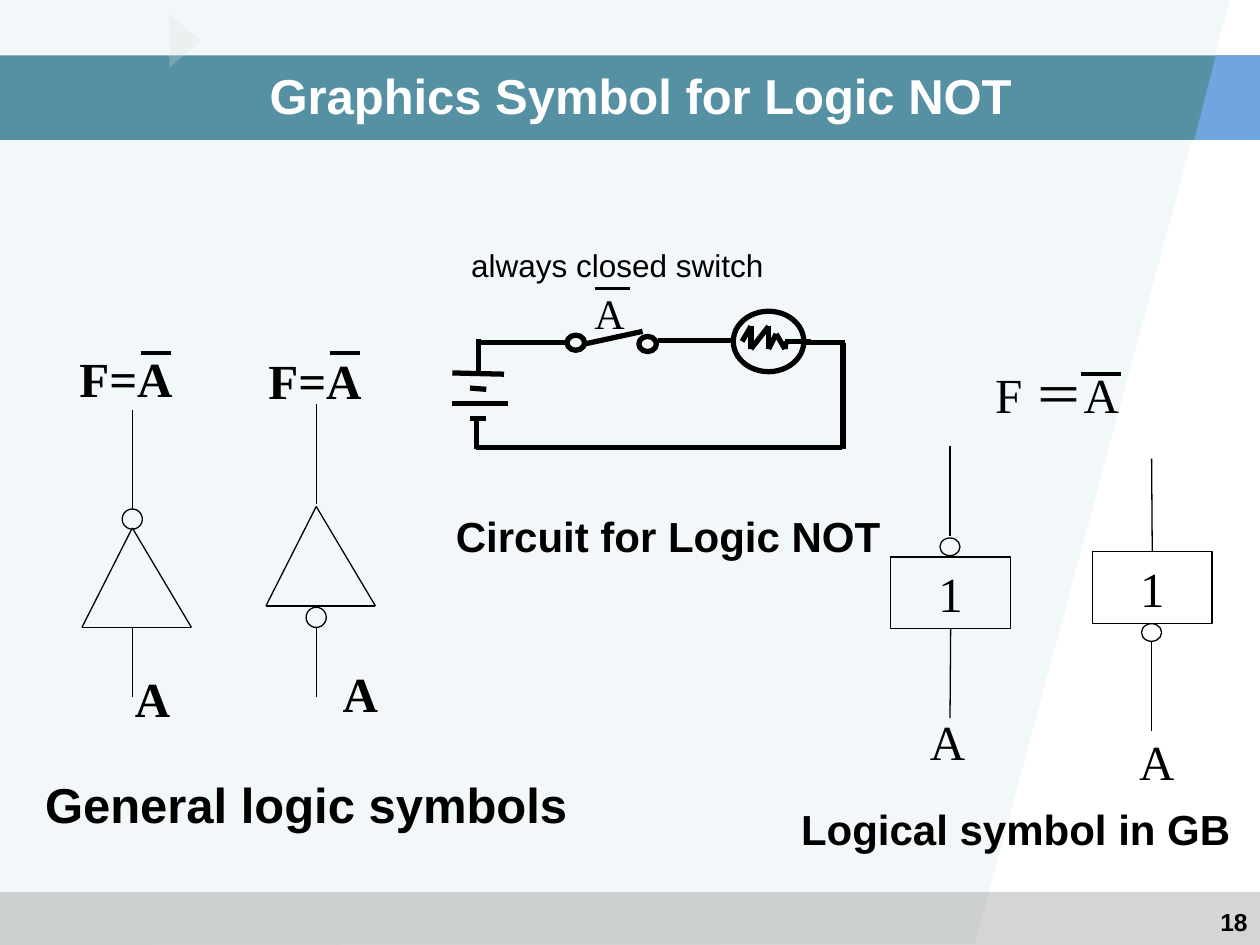
from dataclasses import dataclass
from itertools import pairwise

from lxml.etree import SubElement
from pptx import Presentation
from pptx.dml.color import RGBColor
from pptx.enum.shapes import MSO_CONNECTOR, MSO_SHAPE
from pptx.enum.text import MSO_ANCHOR, PP_ALIGN
from pptx.oxml.ns import qn
from pptx.util import Inches, Pt

COLUMNS, ROWS = 100, 75
BLACK, WHITE = "000000", "FFFFFF"
SANS, SERIF = "Arial", "Times New Roman"
THIN, BAR, WIRE = 0.75, 2.25, 3
LEFT, CENTER, RIGHT = PP_ALIGN.LEFT, PP_ALIGN.CENTER, PP_ALIGN.RIGHT
TOP_SIDE, BOTTOM_SIDE = 0, 2

deck = Presentation()
deck.slide_width, deck.slide_height = Inches(10), Inches(7.5)
slide = deck.slides.add_slide(deck.slide_layouts[6])
shapes = slide.shapes


@dataclass
class Label:
    text: str
    left: float
    top: float
    width: float
    height: float
    size: float
    font: str = SANS
    bold: bool = False
    align: PP_ALIGN = CENTER
    wrap: bool = True
    color: str = BLACK
    anchor: MSO_ANCHOR = MSO_ANCHOR.TOP
    inset: bool = True


@dataclass
class Inverter:
    axis: float
    apex: float
    bubble_top: float
    output_rows: tuple[float, float]


@dataclass
class Gate:
    left: float
    top: float
    axis: float
    bubble_top: float
    output_rows: tuple[float, float]
    input_rows: tuple[float, float]
    input_label: tuple[float, float]
    joined_output: bool


def col(value: float) -> int:
    return round(deck.slide_width * value / COLUMNS)


def row(value: float) -> int:
    return round(deck.slide_height * value / ROWS)


def box(left: float, top: float, width: float, height: float) -> tuple[int, ...]:
    return col(left), row(top), col(width), row(height)


def paint(target, color: str, opacity: int = 100) -> None:
    target.solid()
    target.fore_color.rgb = RGBColor.from_string(color)
    if opacity < 100:
        tint = target._xPr.find(qn("a:solidFill"))[0]
        SubElement(tint, qn("a:alpha")).set("val", str(opacity * 1000))


def finish_panel(shape, color: str, opacity: int = 100) -> None:
    shape.shadow.inherit = False
    paint(shape.fill, color, opacity)
    shape.line.fill.background()


def panel(kind: MSO_SHAPE, place: tuple, color: str, opacity: int, turn: float = 0) -> None:
    shape = shapes.add_shape(kind, *box(*place))
    shape.rotation = turn
    finish_panel(shape, color, opacity)


def polygon(points: list[tuple[float, float]], color: str, opacity: int = 100) -> None:
    corners = [(col(x), row(y)) for x, y in points]
    builder = shapes.build_freeform(*corners[0])
    builder.add_line_segments(corners[1:], close=True)
    finish_panel(builder.convert_to_shape(), color, opacity)


def outline(kind: MSO_SHAPE, place: tuple, weight: float):
    shape = shapes.add_shape(kind, *box(*place))
    shape.shadow.inherit = False
    shape.fill.background()
    paint(shape.line.fill, BLACK)
    shape.line.width = Pt(weight)
    return shape


def line(x1: float, y1: float, x2: float, y2: float, weight: float):
    stroke = shapes.add_connector(MSO_CONNECTOR.STRAIGHT, col(x1), row(y1), col(x2), row(y2))
    paint(stroke.line.fill, BLACK)
    stroke.line.width = Pt(weight)
    SubElement(stroke._element.spPr, qn("a:effectLst"))
    return stroke


def write(frame, label: Label) -> None:
    frame.word_wrap = label.wrap
    frame.vertical_anchor = label.anchor
    if not label.inset:
        frame.margin_left = frame.margin_right = frame.margin_top = frame.margin_bottom = 0
    paragraph = frame.paragraphs[0]
    paragraph.alignment = label.align
    run = paragraph.add_run()
    run.text = label.text
    run.font.name, run.font.size, run.font.bold = label.font, Pt(label.size), label.bold
    run.font.color.rgb = RGBColor.from_string(label.color)


def draw_label(label: Label) -> None:
    place = box(label.left, label.top, label.width, label.height)
    write(shapes.add_textbox(*place).text_frame, label)


def draw_inverter(part: Inverter) -> None:
    base = part.apex + 7.9
    base_left, base_right = part.axis - 4, part.axis + 4.7
    line(part.axis, part.apex, base_left, base, THIN)
    line(part.axis, part.apex, base_right, base, THIN)
    line(base_left, base, base_right, base, THIN)
    line(part.axis, 49.8, part.axis, 55.3, THIN)
    outline(MSO_SHAPE.OVAL, (part.axis - 0.8, part.bubble_top, 1.6, 1.6), THIN)
    line(part.axis, part.output_rows[1], part.axis, part.output_rows[0], THIN)


def draw_gate(part: Gate) -> None:
    body = outline(MSO_SHAPE.RECTANGLE, (part.left, part.top, 9.5, 5.7), THIN)
    write(body.text_frame, Label("1", part.left, part.top, 9.5, 5.7, 28, SERIF))
    output = line(part.axis, part.output_rows[0], part.axis, part.output_rows[1], THIN)
    supply = line(part.axis, part.input_rows[0], part.axis, part.input_rows[1], THIN)
    if part.joined_output:
        output.end_connect(body, TOP_SIDE)
    else:
        supply.begin_connect(body, BOTTOM_SIDE)
    outline(MSO_SHAPE.OVAL, (part.axis - 0.8, part.bubble_top, 1.6, 1.4), THIN)
    draw_label(Label("A", *part.input_label, 4.8, 5.7, 28, SERIF, wrap=False))


polygon([(0, 0), (97.6, 0), (77.4, 74.9), (0, 75)], "9FCAD3", 13)
panel(MSO_SHAPE.RECTANGLE, (0, 70.8, COLUMNS, 4.2), "969696", 40)
panel(MSO_SHAPE.RECTANGLE, (0, 4.4, COLUMNS, 6.7), "26728A", 77)
polygon([(96.5, 4.4), (94.8, 11.1), (100, 11.1), (100, 4.4)], "71A5DF")
panel(MSO_SHAPE.ISOSCELES_TRIANGLE, (12.6, 2, 4.2, 2.5), "DDDDDD", 27, 90)

LABELS = [
    Label("18", 76.7, 71.5, 23.3, 3.5, 14, bold=True, align=RIGHT),
    Label("Logical symbol in GB", 62.6, 63.3, 37.4, 5, 24, bold=True, align=LEFT),
    Label("F ＝A", 78, 28.4, 13.7, 5.7, 28, SERIF, align=LEFT),
    Label("General logic symbols", 1.5, 61, 45.6, 5.7, 28, bold=True),
    Label("F=A", 5.3, 27.2, 9.4, 5.7, 28, SERIF, True, wrap=False),
    Label("A", 9.7, 52.6, 4.8, 5.7, 28, SERIF, True, wrap=False),
    Label("F=A", 20.3, 27.3, 9.4, 5.7, 28, SERIF, True, wrap=False),
    Label("A", 26.2, 52.2, 4.8, 5.7, 28, SERIF, True, wrap=False),
    Label("Circuit for Logic NOT", 35.2, 40, 35.7, 5, 24, bold=True, align=LEFT, wrap=False),
    Label("A", 46.2, 22.3, 4.4, 5, 24, SERIF, align=LEFT, wrap=False),
    Label("always closed switch", 34.2, 19.5, 29.6, 3, 18, inset=False),
    Label("Graphics Symbol for Logic NOT", 5, 5, 91.7, 5, 28, bold=True, color=WHITE,
          anchor=MSO_ANCHOR.MIDDLE),
]
for label in LABELS:
    draw_label(label)

NEGATION_BARS = [(85.8, 29.7, 3.2), (11.2, 28, 2.4), (26.2, 28, 2.4), (47.2, 22.9, 2.8)]
for start, height, length in NEGATION_BARS:
    line(start, height, start + length, height, BAR)

draw_gate(Gate(70.7, 44.2, 75.4, 42.7, (35.4, 42.5), (49.9, 57), (72.8, 56), False))
draw_gate(Gate(86.7, 43.8, 91.4, 49.5, (36.4, 43.5), (50.9, 58), (89.4, 57.6), True))
draw_inverter(Inverter(10.5, 41.9, 40.4, (32.5, 40.4)))
draw_inverter(Inverter(25.1, 40.2, 48.2, (32.1, 40)))

LAMP = (58.2, 24.7, 5.6, 4.8)
SWITCH_CONTACTS = [(45, 26.6, 1.4, 1.2), (50.7, 26.7, 1.4, 1.2)]
for ring in [LAMP, *SWITCH_CONTACTS]:
    outline(MSO_SHAPE.OVAL, ring, WIRE)

FILAMENT = [(58.9, 27.1), (59.6, 25.9), (59.6, 27.7), (61, 25.9), (61, 27.7),
            (61.6, 26.5), (62.3, 27.7), (62.4, 27.1)]
for start, end in pairwise(FILAMENT):
    line(*start, *end, WIRE)

SWITCH_ARM = (46.4, 27.3, 51, 26.3)
BATTERY_PLATES = [(35.9, 29.6, 40, 29.7), (37.3, 30.8, 38.6, 30.9),
                  (35.9, 32, 40.3, 32), (37.3, 33.2, 38.6, 33.2)]
WIRES = [(62.3, 27.1, 64.4, 27.1), (38.1, 27.2, 44.9, 27.2), (58, 27, 52.2, 27),
         (63.8, 27.2, 67.1, 27.2), (66.8, 35.5, 37.8, 35.5), (38, 29.7, 38, 26.9),
         (37.8, 33.4, 37.8, 35.6), (66.9, 35.6, 66.9, 27.2)]
for segment in [SWITCH_ARM, *BATTERY_PLATES, *WIRES]:
    line(*segment, WIRE)

deck.save("out.pptx")
